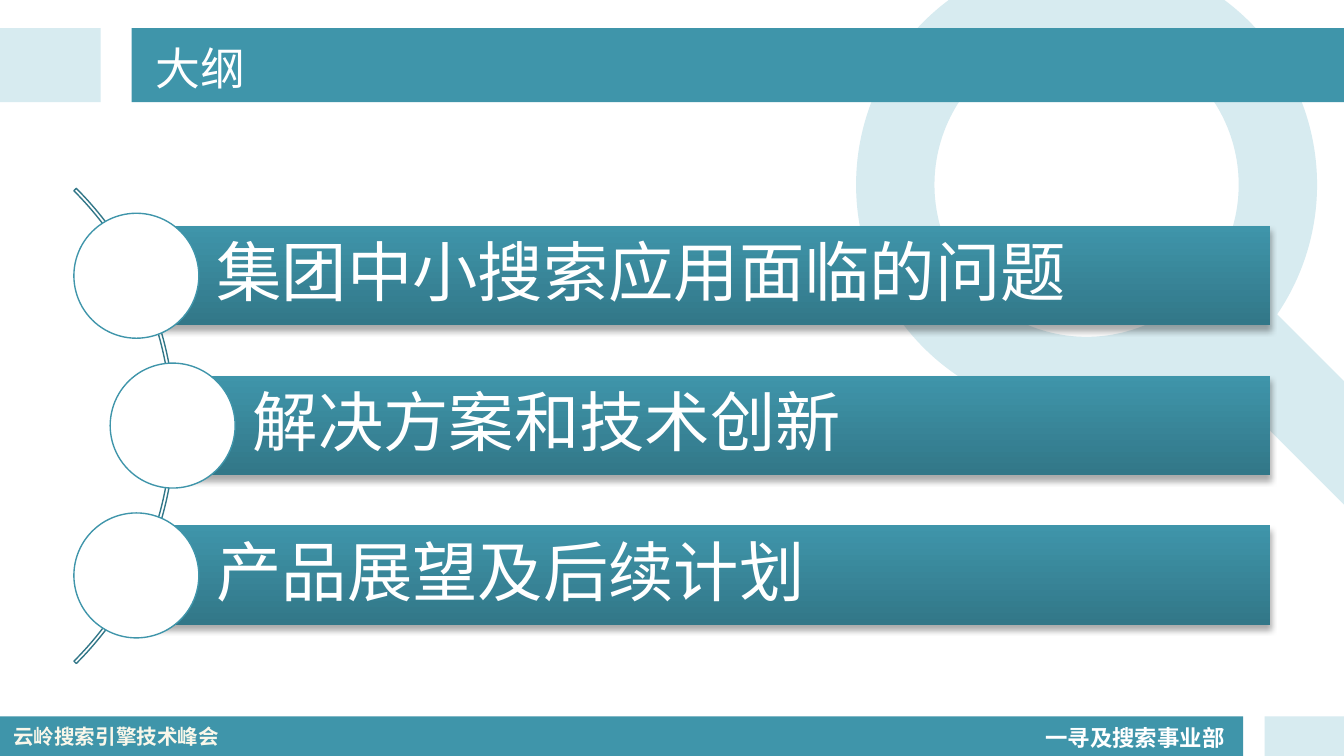
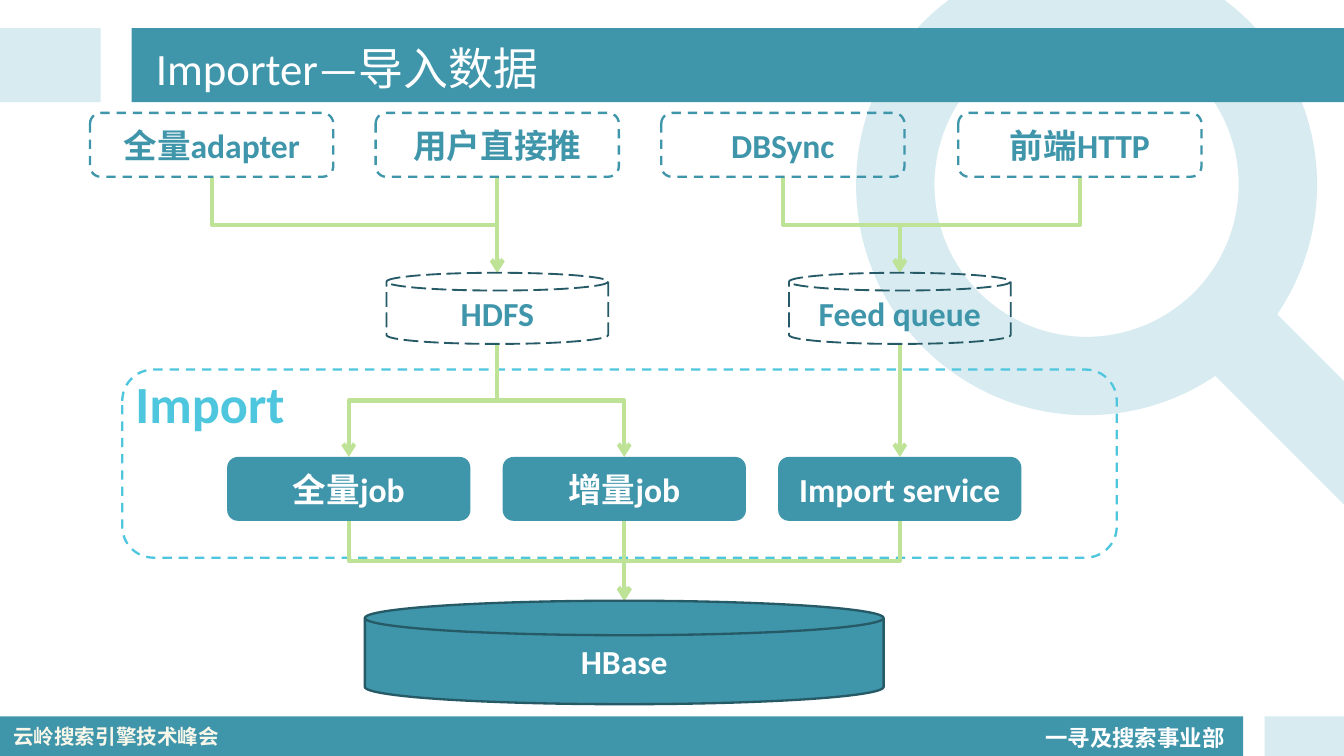
import pptx
import pptx.util
import pptx.dml.color
import pptx.enum.dml
import pptx.enum.shapes
import pptx.enum.text
import pptx.oxml
import pptx.oxml.ns
import lxml.etree

SHAPE = pptx.enum.shapes.MSO_SHAPE
CONNECTOR = pptx.enum.shapes.MSO_CONNECTOR
DASH = pptx.enum.dml.MSO_LINE
ALIGN = pptx.enum.text.PP_ALIGN
ANCHOR = pptx.enum.text.MSO_ANCHOR
qn = pptx.oxml.ns.qn

TEAL, DEEP, DARK, PALE = "3F95AA", "327788", "265A67", "D7EBF0"
CYAN, GREEN, WHITE, CREAM = "4EC6DE", "BEE396", "FFFFFF", "F9F7EA"
LATIN, CJK = "Calibri", "Noto Sans CJK SC"

prs = pptx.Presentation()
prs.slide_width = pptx.util.Inches(10)
prs.slide_height = pptx.util.Inches(5.625)
U = prs.slide_width / 100  # square grid cell: 100 columns across the slide
layout = prs.slide_layouts[5]


def rgb(code):
    return pptx.dml.color.RGBColor.from_string(code)


def add_box(slide, kind, at, fill=None, line=None, width=1.25, dash=None, text="",
            size=18, color=WHITE, bold=True, font=LATIN, align=ALIGN.LEFT,
            anchor=ANCHOR.MIDDLE):
    """Add a shape, or a text box when kind is None; kind "title" fills the title."""
    x, y, w, h = [int(v * U) for v in at]
    if kind == "title":
        sp = slide.shapes.title
        sp.left, sp.top, sp.width, sp.height = x, y, w, h
    elif kind is None:
        sp = slide.shapes.add_textbox(x, y, w, h)
    else:
        sp = slide.shapes.add_shape(kind, x, y, w, h)
        sp.shadow.inherit = False
        if fill:
            sp.fill.solid()
            sp.fill.fore_color.rgb = rgb(fill)
        else:
            sp.fill.background()
        if line:
            sp.line.color.rgb = rgb(line)
            sp.line.width = pptx.util.Pt(width)
            sp.line.dash_style = dash
        else:
            sp.line.fill.background()
    if text:
        tf = sp.text_frame
        tf.word_wrap = True
        tf.vertical_anchor = anchor
        p = tf.paragraphs[0]
        p.text = text
        p.alignment = align
        p.font.size = pptx.util.Pt(size)
        p.font.bold = bold
        p.font.color.rgb = rgb(color)
        p.font.name = font
        lxml.etree.SubElement(p.font._rPr, qn("a:ea"), typeface=CJK)
    return sp


# Slides and titles
outline, importer = [prs.slides.add_slide(layout) for _ in range(2)]
for slide, title, font in [(outline, "大纲", CJK), (importer, "Importer—导入数据", LATIN)]:
    add_box(slide, "title", (10.6, 2.3, 84.4, 5.4), text=title, size=24, bold=False, font=font)

# Shared backdrop: magnifier, header bands, footer bands
ring = add_box(outline, SHAPE.DONUT, (63.7, -3.4, 34.3, 34.3), PALE)
ring.adjustments[0] = 0.17
handle = add_box(outline, SHAPE.ROUNDED_RECTANGLE, (86.6, 27, 21.4, 6.5), PALE)
handle.adjustments[0] = 0.5
handle.rotation = 45
backdrop = [ring, handle]
for x, y, w, h, fill in [(0, 53.3, 92.5, 2.95, TEAL), (94.1, 53.3, 5.9, 2.95, PALE),
                         (0, 2.1, 7.5, 5.5, PALE), (9.8, 2.1, 90.2, 5.5, TEAL)]:
    backdrop.append(add_box(outline, SHAPE.RECTANGLE, (x, y, w, h), fill))
unit = add_box(outline, None, (76.8, 53, 15.5, 3.3), text="一寻及搜索事业部", size=12,
               anchor=ANCHOR.TOP)
unit.text_frame.word_wrap = False
unit.text_frame.paragraphs[0].line_spacing = 1.2
event = add_box(outline, None, (0, 53.4, 17.7, 2.9), text="云岭搜索引擎技术峰会", size=11,
                color=CREAM, font=CJK, anchor=ANCHOR.TOP)
backdrop += [unit, event]

# Move the backdrop to the layout so that both slides show it
for i, sp in enumerate(backdrop):
    sp._element.nvSpPr.cNvPr.set("id", str(100 + i))
    layout.shapes._spTree.append(sp._element)

# Outline: arc, then a bar and a circle for each topic
arc = add_box(outline, SHAPE.BLOCK_ARC, (-37, 6.7, 50, 50), line=DEEP, width=0.75)
for i, value in enumerate([189, 27, 0.005]):
    arc.adjustments[i] = value
topics = [("集团中小搜索应用面临的问题", 10.2), ("解决方案和技术创新", 12.9),
          ("产品展望及后续计划", 10.2)]
for i, (topic, x) in enumerate(topics):
    y = 16.8 + 11.15 * i
    bar = add_box(outline, SHAPE.RECTANGLE, (x, y, 94.5 - x, 7.4), TEAL, text=topic,
                  size=35, bold=False)
    bar.text_frame.margin_left = int(5.9 * U)
    bar.text_frame.paragraphs[0].line_spacing = 0.9
    bar.fill.gradient()
    bar.fill.gradient_angle = 270
    for stop, color in zip(bar.fill.gradient_stops, (TEAL, DEEP)):
        stop.color.rgb = rgb(color)
    effects = bar._element.spPr.find(qn("a:effectLst"))
    shadow = lxml.etree.SubElement(effects, qn("a:outerShdw"), blurRad="38100", dist="38100",
                                   dir="4800000", rotWithShape="0")
    black = lxml.etree.SubElement(shadow, qn("a:srgbClr"), val="000000")
    lxml.etree.SubElement(black, qn("a:alpha"), val="32000")
    add_box(outline, SHAPE.OVAL, (x - 4.7, y - 0.93, 9.3, 9.3), WHITE, TEAL, 0.75)

# Importer: frame around the import stage
add_box(importer, SHAPE.ROUNDED_RECTANGLE, (9.1, 27.5, 74, 14), line=CYAN, dash=DASH.DASH)
add_box(importer, None, (9.1, 27.1, 24.4, 5.7), text="Import", size=28, color=CYAN,
        anchor=ANCHOR.TOP)

# Column centres and row tops of the flow
sources = [("全量adapter", 15.75), ("用户直接推", 37), ("DBSync", 58.25), ("前端HTTP", 80.35)]
stores = [("HDFS", 37), ("Feed queue", 66.95)]
jobs = [("全量job", 25.95), ("增量job", 46.45), ("Import service", 66.95)]
SOURCE_Y, STORE_Y, JOB_Y, BASE_Y = 8.4, 20.3, 34, 44.7
BOX_W, BOX_H, STORE_W, STORE_H = 18.1, 4.75, 16.5, 5.3
base_x = jobs[1][1]

# Arrows: (from column, to column, from row, to row)
links = [(x, stores[i // 2][1], SOURCE_Y + BOX_H, STORE_Y) for i, (_, x) in enumerate(sources)]
links += [(stores[min(i, 2) // 2][1], x, STORE_Y + STORE_H, JOB_Y)
          for i, (_, x) in enumerate(jobs)]
links += [(x, base_x, JOB_Y + BOX_H, BASE_Y) for _, x in jobs]
for x1, x2, y1, y2 in links:
    if x1 == x2:
        kind, turn, ends = CONNECTOR.STRAIGHT, 0, (x1, y1, x2, y2)
    else:
        # An elbow leaves sideways, so lay it out turned by a quarter
        kind, turn = CONNECTOR.ELBOW, 270 if x2 > x1 else 90
        cx, cy, half_w = (x1 + x2) / 2, (y1 + y2) / 2, abs(x2 - x1) / 2
        half_h = (y2 - y1) / 2 * (-1 if x2 > x1 else 1)
        ends = (cx - half_h, cy - half_w, cx + half_h, cy + half_w)
    link = importer.shapes.add_connector(kind, *[int(v * U) for v in ends])
    link.line.color.rgb = rgb(GREEN)
    link.line.width = pptx.util.Pt(2.25)
    spPr = link._element.spPr
    spPr.find(qn("a:xfrm")).set("rot", str(turn * 60000))
    lxml.etree.SubElement(spPr.find(qn("a:ln")), qn("a:tailEnd"), type="arrow")
    lxml.etree.SubElement(spPr, qn("a:effectLst"))

# Nodes of the flow, row by row
rows = [
    (sources, SHAPE.ROUNDED_RECTANGLE, SOURCE_Y, BOX_W, BOX_H,
     dict(line=TEAL, dash=DASH.DASH, color=TEAL)),
    (stores, SHAPE.CAN, STORE_Y, STORE_W, STORE_H,
     dict(line=DARK, width=1, dash=DASH.LONG_DASH, color=TEAL)),
    (jobs, SHAPE.ROUNDED_RECTANGLE, JOB_Y, BOX_W, BOX_H, dict(fill=TEAL)),
    ([("HBase", base_x)], SHAPE.FLOWCHART_MAGNETIC_DISK, BASE_Y, 38.6, 7.7,
     dict(fill=TEAL, line=DARK)),
]
for nodes, kind, y, w, h, style in rows:
    for name, x in nodes:
        add_box(importer, kind, (x - w / 2, y, w, h), text=name, align=ALIGN.CENTER, **style)

prs.save("out.pptx")
